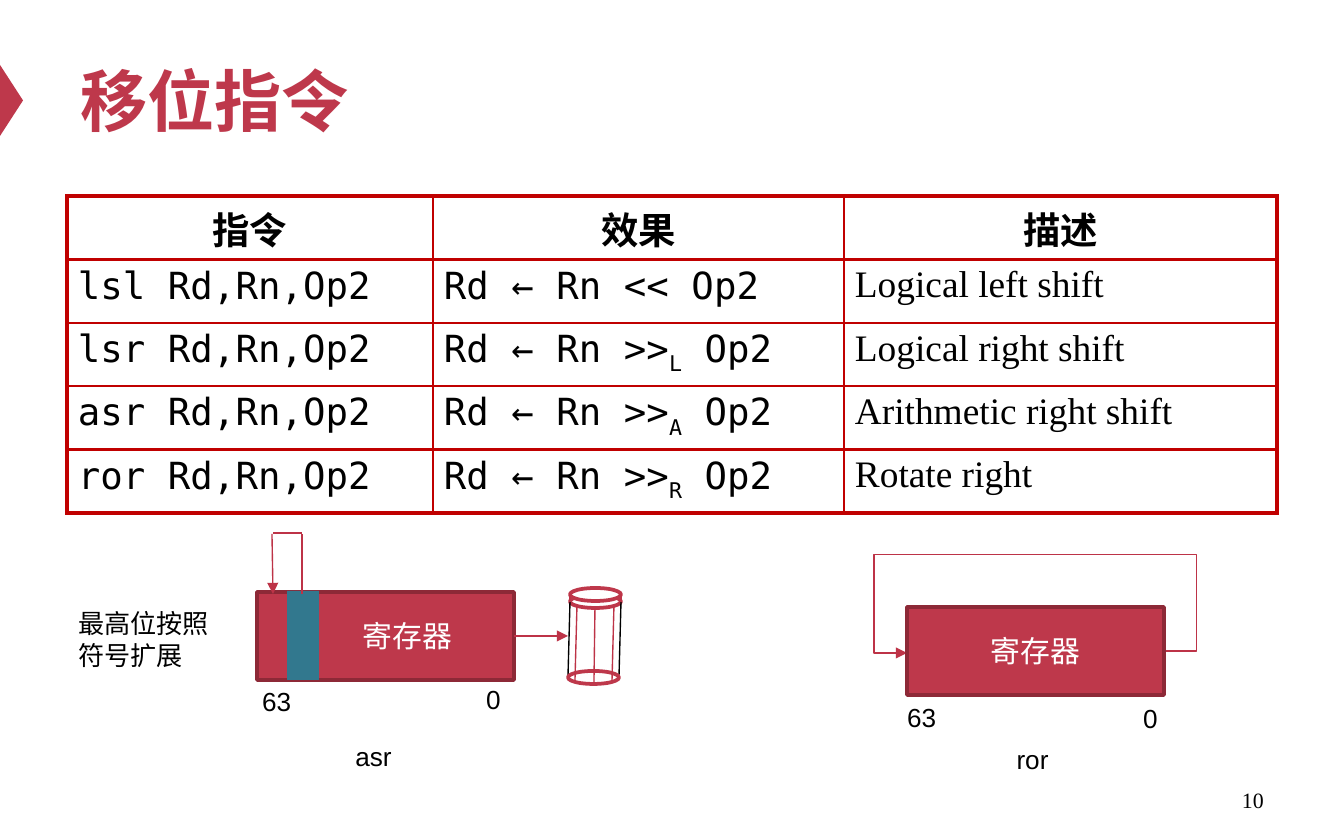
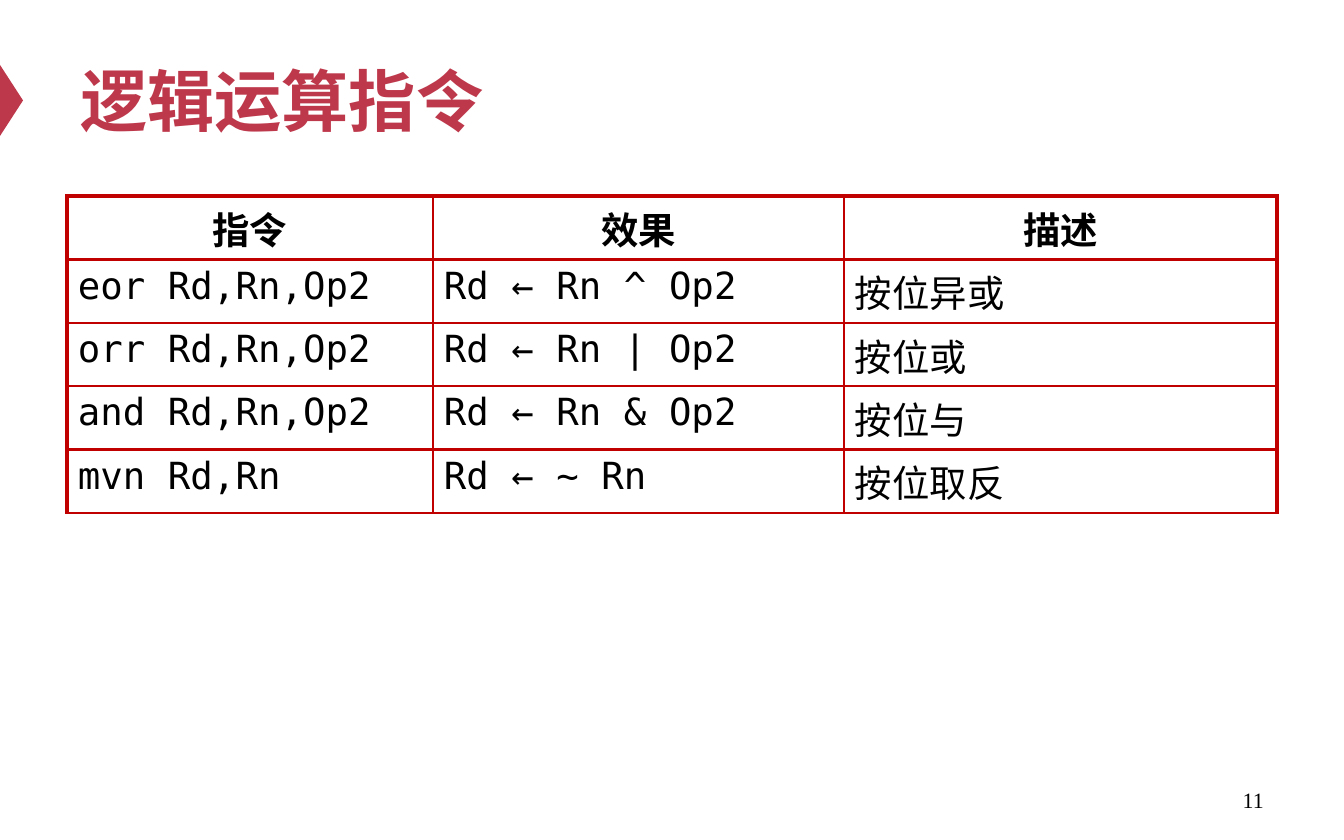
"""Build two slides on shift and logical instructions."""
import pptx
import pptx.dml.color
import pptx.enum.shapes
import pptx.enum.text
import pptx.oxml
import pptx.oxml.ns
import pptx.util
from lxml import etree

RED, DARK_RED, LINE_RED = "BE384B", "8D2937", "BD3347"
BORDER_RED, TEAL, BLACK, WHITE = "C00000", "32788E", "000000", "FFFFFF"
CJK = "Noto Sans CJK SC"
SERIF, MONO = "Times New Roman", "DejaVu Sans Mono"

HEADINGS = ("指令", "效果", "描述")
SLIDES = [
    {
        "title": "移位指令",
        "number": "10",
        "description font": SERIF,
        "bottom border": 2.25,
        "instructions": [
            ("lsl Rd,Rn,Op2", ("Rd ← Rn << Op2",), "Logical left shift"),
            ("lsr Rd,Rn,Op2", ("Rd ← Rn >>", "L", " Op2"), "Logical right shift"),
            ("asr Rd,Rn,Op2", ("Rd ← Rn >>", "A", " Op2"), "Arithmetic right shift"),
            ("ror Rd,Rn,Op2", ("Rd ← Rn >>", "R", " Op2"), "Rotate right"),
        ],
    },
    {
        "title": "逻辑运算指令",
        "number": "11",
        "description font": CJK,
        "bottom border": 1.5,
        "instructions": [
            ("eor Rd,Rn,Op2", ("Rd ← Rn ^ Op2",), "按位异或"),
            ("orr Rd,Rn,Op2", ("Rd ← Rn | Op2",), "按位或"),
            ("and Rd,Rn,Op2", ("Rd ← Rn & Op2",), "按位与"),
            ("mvn Rd,Rn", ("Rd ← ~ Rn",), "按位取反"),
        ],
    },
]

TITLE_BOX, TABLE_BOX, NUMBER_BOX = (67, 34, 1210, 132), (67, 196, 1210, 317), (964, 778, 313, 44)
MARKER_BOX = (-24, 89, 71, 23)
COLUMNS = (366, 411, 433)

REGISTERS = [((257, 592, 257, 88), 57), ((907, 607, 257, 88), 13)]
LABELS = [
    ("最高位按照符号扩展", (65, 601, 159, 77), "LEFT"),
    ("0", (473, 677, 47, 46), "LEFT"),
    ("63", (249, 679, 58, 46), "LEFT"),
    ("0", (1130, 696, 47, 46), "LEFT"),
    ("63", (894, 695, 58, 46), "LEFT"),
    ("asr", (294, 734, 159, 46), "CENTER"),
    ("ror", (953, 737, 159, 46), "CENTER"),
]
SIGN_BIT = (287, 591, 32, 89)
ROTATE = {"start": (1164, 651), "end": (907, 653), "right": 1197, "top": 555, "left": 874}
BIN_RIM, BIN_LID, BIN_BASE = (570, 595, 51, 13), (570, 588, 51, 13), (568, 671, 51, 13)
BIN_WALLS = [(570, 602, 568, 677), (621, 602, 619, 677)]
BIN_RIBS = [
    (570, 594, 570, 602), (621, 594, 621, 602),
    (577, 606, 575, 681), (595, 609, 594, 683), (614, 606, 612, 681),
]
SHIFT_OUT = (514, 636, 568, 636)
SIGN_COPY = [(302, 594, 302, 534), (302, 533, 273, 533), (272, 534, 273, 594)]

SHAPE = pptx.enum.shapes.MSO_SHAPE
CONNECTOR = pptx.enum.shapes.MSO_CONNECTOR
MIDDLE = pptx.enum.text.MSO_ANCHOR.MIDDLE
ALIGN = pptx.enum.text.PP_ALIGN


def px(*lengths):
    return [round(length * 914400 / 134.4) for length in lengths]


def rgb(value):
    return pptx.dml.color.RGBColor.from_string(value)


def child(parent, tag, **attributes):
    return etree.SubElement(parent, pptx.oxml.ns.qn(tag), **attributes)


def write(frame, pieces, size, font="Arial", colour=BLACK, bold=False, align="LEFT"):
    paragraph = frame.paragraphs[0]
    paragraph.alignment = ALIGN[align]
    formats = {"size": pptx.util.Pt(size), "name": font, "bold": bold}
    for index, piece in enumerate(pieces):
        run = paragraph.add_run()
        run.text = piece
        for attribute, value in formats.items():
            setattr(run.font, attribute, value)
        run.font.color.rgb = rgb(colour)
        properties = run.font._element
        child(properties, "a:ea", typeface=CJK)
        if index == 1:
            properties.set("baseline", "-25000")


def add_text(slide, text, box, size, anchor=None, **style):
    frame = slide.shapes.add_textbox(*px(*box)).text_frame
    frame.word_wrap = True
    frame.vertical_anchor = anchor
    write(frame, [text], size, **style)


def add_block(slide, preset, box, fill, line=None):
    block = slide.shapes.add_shape(preset, *px(*box))
    block.shadow.inherit = False
    block.fill.solid()
    block.fill.fore_color.rgb = rgb(fill)
    if line:
        block.line.color.rgb = rgb(line)
        block.line.width = pptx.util.Pt(2)
    else:
        block.line.fill.background()
    return block


def add_line(slide, ends, colour=LINE_RED, arrow=False, kind=CONNECTOR.STRAIGHT):
    connector = slide.shapes.add_connector(kind, *px(*ends))
    connector.line.color.rgb = rgb(colour)
    connector.line.width = pptx.util.Pt(0.75)
    properties = connector._element.spPr
    if arrow:
        child(properties.find(pptx.oxml.ns.qn("a:ln")), "a:tailEnd", type="triangle")
    child(properties, "a:effectLst")
    return connector


def add_rotate_loop(slide):
    (x1, y1), (x2, y2) = ROTATE["start"], ROTATE["end"]
    loop = add_line(slide, (x1, y1, x2, y2), arrow=True, kind=CONNECTOR.ELBOW)
    geometry = loop._element.spPr.find(pptx.oxml.ns.qn("a:prstGeom"))
    geometry.set("prst", "bentConnector5")
    for old in list(geometry):
        geometry.remove(old)
    guides = child(geometry, "a:avLst")
    bends = (
        (ROTATE["right"] - x1) / (x2 - x1),
        (ROTATE["top"] - y1) / (y2 - y1),
        (ROTATE["left"] - x1) / (x2 - x1),
    )
    for number, bend in enumerate(bends, 1):
        child(guides, "a:gd", name=f"adj{number}", fmla=f"val {round(bend * 100000)}")


def add_borders(cell, widths):
    properties = cell._tc.get_or_add_tcPr()
    for side, width in zip("LRTB", widths):
        border = child(properties, f"a:ln{side}", w=str(pptx.util.Pt(width)))
        child(child(border, "a:solidFill"), "a:srgbClr", val=BORDER_RED)


def add_instructions(slide, content):
    rows = [[(heading,) for heading in HEADINGS]]
    rows += [[(code,), effect, (description,)] for code, effect, description in content["instructions"]]
    last_row, last_column = len(rows) - 1, len(COLUMNS) - 1
    table = slide.shapes.add_table(len(rows), len(COLUMNS), *px(*TABLE_BOX)).table
    table.first_row = table.horz_banding = False
    for column, width in zip(table.columns, px(*COLUMNS)):
        column.width = width
    fonts = (MONO, MONO, content["description font"])
    margins = dict(zip(("margin_left", "margin_top", "margin_right", "margin_bottom"), px(11, 5, 11, 5)))
    for r, row in enumerate(rows):
        for c, pieces in enumerate(row):
            cell = table.cell(r, c)
            for attribute, value in margins.items():
                setattr(cell, attribute, value)
            add_borders(cell, (
                2.25 if c == 0 else 1.5,
                2.25 if c == last_column else 1.5,
                2.25 if r == 0 else 1.5,
                content["bottom border"] if r == last_row else 1.5,
            ))
            cell.fill.background()
            if r == 0:
                write(cell.text_frame, pieces, 20, bold=True, align="CENTER")
            else:
                write(cell.text_frame, pieces, 20, font=fonts[c])


def add_bin(slide):
    add_block(slide, SHAPE.OVAL, BIN_RIM, WHITE, RED)
    for wall in BIN_WALLS:
        add_line(slide, wall, BLACK)
    for ring in (BIN_BASE, BIN_LID):
        add_block(slide, SHAPE.OVAL, ring, WHITE, RED)
    for rib in BIN_RIBS:
        add_line(slide, rib)


def add_shift_diagrams(slide):
    add_rotate_loop(slide)
    add_bin(slide)
    for box, indent in REGISTERS:
        register = add_block(slide, SHAPE.RECTANGLE, box, RED, DARK_RED)
        frame = register.text_frame
        frame.margin_left = px(indent)[0]
        frame.vertical_anchor = MIDDLE
        write(frame, ["寄存器"], 16, colour=WHITE, align="CENTER")
    for text, box, align in LABELS:
        add_text(slide, text, box, 14, align=align)
    add_line(slide, SHIFT_OUT, arrow=True)
    add_block(slide, SHAPE.RECTANGLE, SIGN_BIT, TEAL)
    for segment in SIGN_COPY:
        add_line(slide, segment, arrow=segment == SIGN_COPY[-1])


def add_content_slide(deck, content):
    slide = deck.slides.add_slide(deck.slide_layouts[6])
    add_block(slide, SHAPE.ISOSCELES_TRIANGLE, MARKER_BOX, RED).rotation = 90
    add_text(slide, content["title"], TITLE_BOX, 36, MIDDLE, colour=RED, bold=True)
    add_instructions(slide, content)
    add_text(slide, content["number"], NUMBER_BOX, 11.7, MIDDLE, font=SERIF, align="RIGHT")
    return slide


def main():
    deck = pptx.Presentation()
    deck.slide_width, deck.slide_height = px(1344, 840)
    shifts, logic = [add_content_slide(deck, content) for content in SLIDES]
    add_shift_diagrams(shifts)
    deck.save("out.pptx")


if __name__ == "__main__":
    main()
